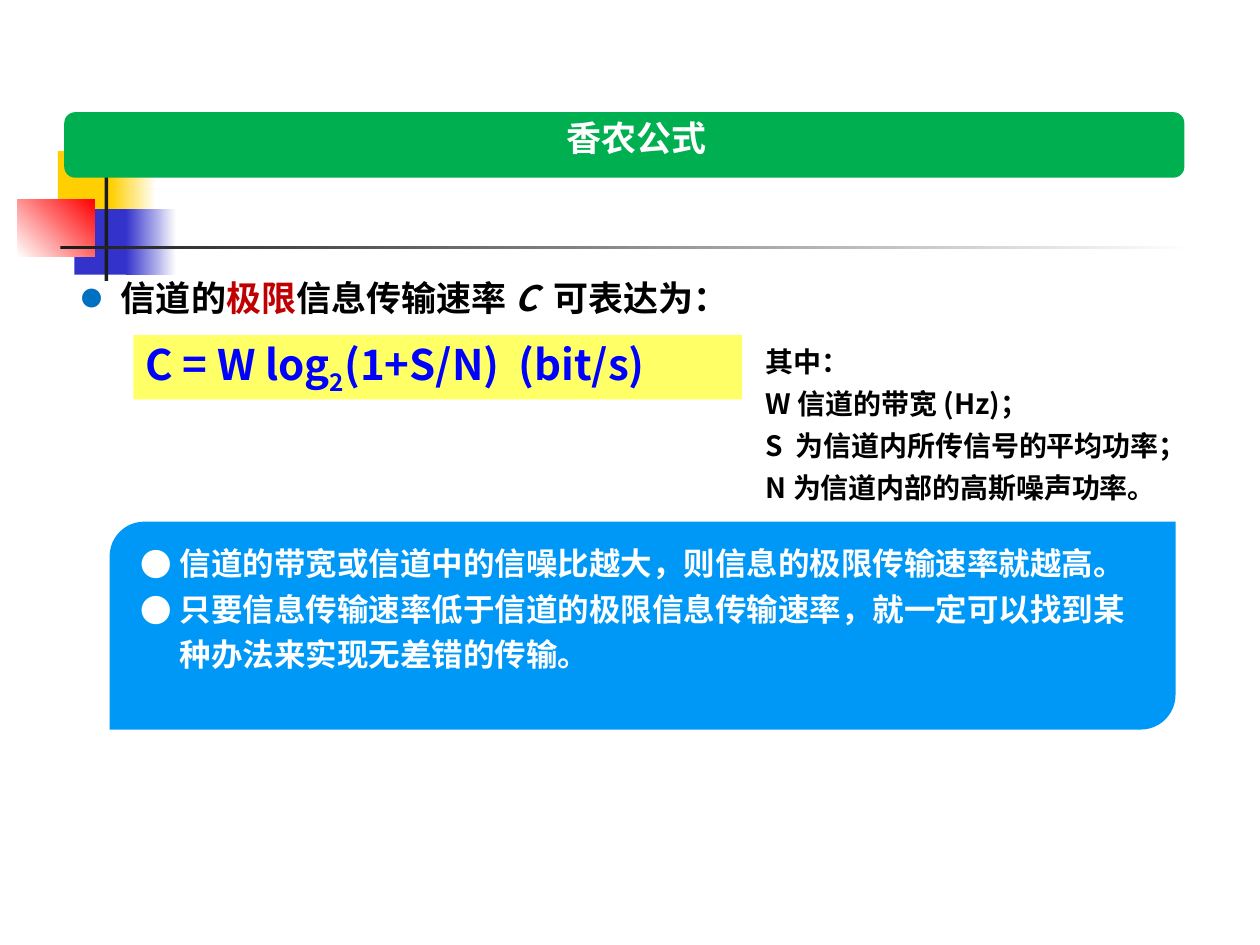
"""Build the slide about the Shannon formula."""
from dataclasses import dataclass, field
from typing import Optional

from lxml import etree
from pptx import Presentation
from pptx import util as u
from pptx.dml.color import RGBColor
from pptx.enum import shapes, text
from pptx.oxml import ns

COLUMNS, ROWS = 100, 75
UNIT = u.Inches(0.1)
FONT = "Noto Sans CJK SC"
WHITE, BLACK, INK = "FFFFFF", "000000", "1C1C1C"
GOLD, INDIGO, RED = "FFCF01", "3333CC", "FF0000"
RECT = shapes.MSO_SHAPE.RECTANGLE
ROUND = shapes.MSO_SHAPE.ROUNDED_RECTANGLE
DIAGONAL = shapes.MSO_SHAPE.ROUND_2_DIAG_RECTANGLE


@dataclass
class Area:
    """A place on the grid, in columns and rows."""
    left: float
    top: float
    width: float
    height: float

    def lengths(self) -> list:
        """Return the place in slide units."""
        return [u.Emu(int(n * UNIT)) for n in (self.left, self.top, self.width, self.height)]


@dataclass
class Block:
    """A filled shape, with a gradient when an end colour is given."""
    area: Area
    start: str
    end: Optional[str] = None
    angle: int = 0
    kind: int = RECT


@dataclass
class Span:
    """A piece of text with its own format."""
    words: str
    color: str = BLACK
    italic: bool = False
    baseline: int = 0


@dataclass
class Style:
    """The format shared by the paragraphs of one box."""
    size: int
    leading: Optional[int] = None
    bullet: dict = field(default_factory=dict)
    align: int = text.PP_ALIGN.LEFT
    anchor: int = text.MSO_ANCHOR.TOP


BLOCKS = [
    Block(Area(4.6, 12, 4.8, 5.2), GOLD),
    Block(Area(8.8, 12, 3.6, 5.2), GOLD, WHITE),
    Block(Area(5.9, 16.6, 4.6, 5.2), INDIGO),
    Block(Area(10, 16.6, 4, 5.2), INDIGO, WHITE),
    Block(Area(1.4, 15.8, 6.1, 4.6), WHITE, RED, 45),
    Block(Area(8.3, 10.8, 0.3, 11.5), INK),
    Block(Area(4.8, 19.5, 90, 0.3), INK, WHITE),
    Block(Area(5.1, 8.9, 88.9, 5.2), "00B050", kind=ROUND),
    Block(Area(8.7, 41.4, 84.6, 16.5), "0098F6", kind=DIAGONAL),
]
CLAIM = [[
    Span("信道的"), Span("极限", "C00000"), Span("信息传输速率 "),
    Span("C  ", italic=True), Span("可表达为："),
]]
FORMULA = [[
    Span("C = W log", "0000FF"), Span("2", "0000FF", baseline=-25000),
    Span("(1+S/N)  (bit/s)", "0000FF"),
]]
TERMS = ["其中：", "W 信道的带宽 (Hz)；", "S  为信道内所传信号的平均功率；",
         "N 为信道内部的高斯噪声功率。"]
FINDINGS = ["信道的带宽或信道中的信噪比越大，则信息的极限传输速率就越高。",
            "只要信息传输速率低于信道的极限信息传输速率，就一定可以找到某种办法来实现无差错的传输。"]


def rgb(code: str) -> RGBColor:
    """Turn a hex string into a colour."""
    return RGBColor.from_string(code)


def apply(target, values: dict) -> None:
    """Set every named attribute of the target."""
    for name, value in values.items():
        setattr(target, name, value)


def add_child(parent, tag: str, **attributes: str):
    """Append a drawing element to its parent."""
    return etree.SubElement(parent, ns.qn(tag), attributes)


def draw_block(page, block: Block) -> None:
    """Draw one filled shape without outline."""
    box = page.shapes.add_shape(block.kind, *block.area.lengths())
    box.shadow.inherit = False
    box.line.fill.background()
    if block.end is None:
        box.fill.solid()
        box.fill.fore_color.rgb = rgb(block.start)
        return
    box.fill.gradient()
    box.fill.gradient_angle = block.angle
    for stop, color, position in zip(box.fill.gradient_stops, (block.start, block.end), (0, 1)):
        apply(stop, {"position": position})
        stop.color.rgb = rgb(color)


def add_bullet(para, color: str, percent: int) -> None:
    """Give a paragraph a hanging round bullet."""
    properties = para._p.get_or_add_pPr()
    apply_indent = {"marL": str(u.Inches(0.31)), "indent": str(-u.Inches(0.31))}
    for name, value in apply_indent.items():
        properties.set(name, value)
    add_child(add_child(properties, "a:buClr"), "a:srgbClr", val=color)
    add_child(properties, "a:buSzPct", val=str(percent * 1000))
    add_child(properties, "a:buFont", typeface=FONT)
    add_child(properties, "a:buChar", char="●")


def add_span(para, span: Span, size: int) -> None:
    """Add one formatted run to a paragraph."""
    run = para.add_run()
    run.text = span.words
    apply(run.font, {"size": u.Pt(size), "name": FONT, "bold": True, "italic": span.italic})
    run.font.color.rgb = rgb(span.color)
    properties = run.font._element
    add_child(properties, "a:ea", typeface=FONT)
    if span.baseline:
        properties.set("baseline", str(span.baseline))


def write(box, lines: list[list[Span]], style: Style) -> None:
    """Fill a box with paragraphs of one style."""
    frame = box.text_frame
    apply(frame, {"word_wrap": True, "auto_size": text.MSO_AUTO_SIZE.NONE,
                  "vertical_anchor": style.anchor})
    for number, line in enumerate(lines):
        para = frame.add_paragraph() if number else frame.paragraphs[0]
        if style.bullet:
            add_bullet(para, **style.bullet)
        apply(para, {"alignment": style.align, "space_before": u.Pt(0)})
        if style.leading:
            para.line_spacing = u.Pt(style.leading)
        for span in line:
            add_span(para, span, style.size)


def place(holder, area: Area) -> None:
    """Move a placeholder to its area and in front of the shapes."""
    apply(holder, dict(zip(("left", "top", "width", "height"), area.lengths())))
    holder.element.getparent().append(holder.element)


def add_box(page, area: Area):
    """Add an empty text box."""
    return page.shapes.add_textbox(*area.lengths())


def main() -> None:
    """Build and save the deck."""
    deck = Presentation()
    apply(deck, {"slide_width": COLUMNS * UNIT, "slide_height": ROWS * UNIT})
    page = deck.slides.add_slide(deck.slide_layouts[1])
    title, body = page.placeholders
    middle = text.MSO_ANCHOR.MIDDLE

    for block in BLOCKS:
        draw_block(page, block)

    place(body, Area(5.5, 20.2, 88.9, 49.2))
    write(body, CLAIM, Style(20, 33, {"color": "0070C0", "percent": 60}))
    place(title, Area(14.3, 8.3, 72.5, 5.2))
    write(title, [[Span("香农公式", WHITE)]],
          Style(20, align=text.PP_ALIGN.CENTER, anchor=middle))

    formula = add_box(page, Area(10.6, 26.6, 48.3, 5.1))
    formula.fill.solid()
    formula.fill.fore_color.rgb = rgb("FFFF66")
    write(formula, FORMULA, Style(24, anchor=middle))

    terms = add_box(page, Area(59.8, 26.2, 39.7, 14.5))
    write(terms, [[Span(term)] for term in TERMS], Style(16, 24))
    findings = add_box(page, Area(10.2, 42.1, 80.8, 12))
    write(findings, [[Span(finding, WHITE)] for finding in FINDINGS],
          Style(18, 26, {"color": WHITE, "percent": 100}))

    deck.save("out.pptx")


if __name__ == "__main__":
    main()
